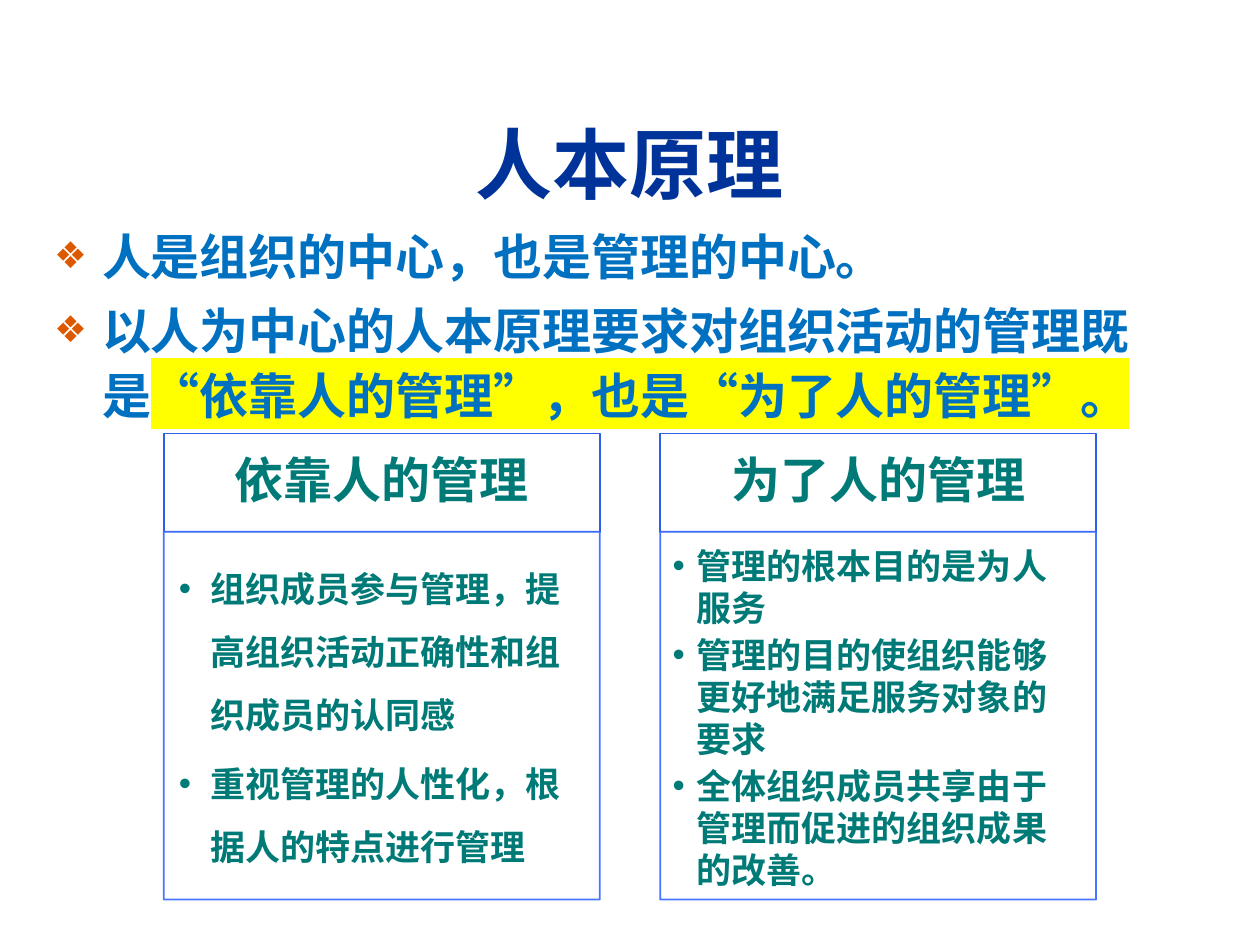
from lxml.etree import SubElement
from pptx import Presentation
from pptx.dml.color import RGBColor
from pptx.enum.lang import MSO_LANGUAGE_ID as Language
from pptx.enum.shapes import MSO_SHAPE as Shape
from pptx.enum.text import MSO_ANCHOR as Anchor, MSO_AUTO_SIZE as AutoSize, PP_ALIGN as Align
from pptx.oxml.ns import qn
from pptx.util import Inches, Pt

FONT = "Arial"
NAVY = RGBColor(0x00, 0x33, 0x99)
BLUE = RGBColor(0x00, 0x70, 0xC0)
ORANGE = RGBColor(0xDC, 0x59, 0x00)
TEAL = RGBColor(0x00, 0x7A, 0x77)
WHITE = RGBColor(0xFF, 0xFF, 0xFF)
YELLOW = RGBColor(0xFF, 0xFF, 0x00)
HEADER_LINE = RGBColor(0x2E, 0x5D, 0xE7)
PANEL_LINE = RGBColor(0x33, 0x66, 0xFF)

# Slide and column grid, in inches
WIDTH, HEIGHT = 10, 7.5
MARGIN = 0.33
COLUMN_WIDTH, COLUMN_GAP = 3.46, 0.48
COLUMN_LEFT = (WIDTH - 2 * COLUMN_WIDTH - COLUMN_GAP) / 2
HEADER_TOP, PANEL_TOP, PANEL_BOTTOM = 3.44, 4.22, 7.14

TITLE = "人本原理"
# Each point is a list of (text, highlight colour)
POINTS = [
    [("人是组织的中心，也是管理的中心。", None)],
    [("以人为中心的人本原理要求对组织活动的管理既是", None),
     ("“依靠人的管理”，也是“为了人的管理”。", YELLOW)],
]
# Heading, items, line spacing, indent, insets (left, top, right, bottom)
COLUMNS = [
    ("依靠人的管理",
     ["组织成员参与管理，提高组织活动正确性和组织成员的认同感",
      "重视管理的人性化，根据人的特点进行管理"],
     1.5, 0.25, (0.12, 0.12, 0.16, 0.17)),
    ("为了人的管理",
     ["管理的根本目的是为人服务",
      "管理的目的使组织能够更好地满足服务对象的要求",
      "全体组织成员共享由于管理而促进的组织成果的改善。"],
     1.0, 0.19, (0.1, 0.1, 0.14, 0.16)),
]


def place(shape, left, top, width, height):
    shape.left, shape.top = Inches(left), Inches(top)
    shape.width, shape.height = Inches(width), Inches(height)


def add_run(paragraph, text, size, color, highlight=None):
    run = paragraph.add_run()
    run.text = text
    font = run.font
    font.name, font.size, font.bold = FONT, Pt(size), True
    font.color.rgb = color
    font.language_id = Language.SIMPLIFIED_CHINESE
    if highlight is not None:
        properties = run._r.get_or_add_rPr()
        mark = SubElement(properties, qn("a:highlight"))
        SubElement(mark, qn("a:srgbClr"), val=str(highlight))
        properties.find(qn("a:latin")).addprevious(mark)


def set_spacing(paragraph, line, before=0, after=0):
    paragraph.line_spacing = line
    paragraph.space_before, paragraph.space_after = Pt(before), Pt(after)


def set_bullet(paragraph, character, indent, color, percent=100):
    properties = paragraph._p.get_or_add_pPr()
    properties.set("marL", str(Inches(indent)))
    properties.set("indent", str(-Inches(indent)))
    tint = SubElement(properties, qn("a:buClr"))
    SubElement(tint, qn("a:srgbClr"), val=str(color))
    SubElement(properties, qn("a:buSzPct"), val=str(percent * 1000))
    SubElement(properties, qn("a:buFont"), typeface=FONT)
    SubElement(properties, qn("a:buChar"), char=character)


def paragraphs(frame, count):
    """Yield the first paragraph of the frame, then new ones."""
    for index in range(count):
        yield frame.add_paragraph() if index else frame.paragraphs[0]


def add_title(slide):
    title = slide.shapes.title
    place(title, MARGIN, 0.67, WIDTH - 2 * MARGIN, 1.25)
    frame = title.text_frame
    frame.auto_size, frame.vertical_anchor = AutoSize.NONE, Anchor.MIDDLE
    paragraph = frame.paragraphs[0]
    paragraph.alignment = Align.CENTER
    add_run(paragraph, TITLE, 44, NAVY)


def add_points(slide):
    body = slide.placeholders[1]
    place(body, MARGIN, 1.7, WIDTH - 2 * MARGIN, 1.82)
    frame = body.text_frame
    frame.auto_size = AutoSize.NONE
    for paragraph, point in zip(paragraphs(frame, len(POINTS)), POINTS):
        set_spacing(paragraph, 1.1, before=5.6)
        set_bullet(paragraph, "❖", 0.38, ORANGE, 75)
        for text, highlight in point:
            add_run(paragraph, text, 28, BLUE, highlight)


def add_box(group, left, top, bottom, line_color, anchor, insets, opacity=100):
    box = group.shapes.add_shape(Shape.RECTANGLE, 0, 0, 0, 0)
    place(box, left, top, COLUMN_WIDTH, bottom - top)
    box.shadow.inherit = False
    box.fill.solid()
    box.fill.fore_color.rgb = WHITE
    box.line.color.rgb = line_color
    box.line.width = Pt(1)
    if opacity < 100:
        for color in box._element.spPr.iter(qn("a:srgbClr")):
            SubElement(color, qn("a:alpha"), val=str(opacity * 1000))
    frame = box.text_frame
    frame.word_wrap, frame.vertical_anchor = True, anchor
    (frame.margin_left, frame.margin_top,
     frame.margin_right, frame.margin_bottom) = map(Inches, insets)
    return frame


def add_column(slide, left, heading, items, line_spacing, indent, insets):
    group = slide.shapes.add_group_shape()
    # Heading box
    frame = add_box(group, left, HEADER_TOP, PANEL_TOP, HEADER_LINE,
                    Anchor.MIDDLE, (0.22, 0.12, 0.22, 0.12))
    paragraph = frame.paragraphs[0]
    paragraph.alignment = Align.CENTER
    set_spacing(paragraph, 0.9, after=9.8)
    add_run(paragraph, heading, 28, TEAL)
    # Bulleted panel
    frame = add_box(group, left, PANEL_TOP, PANEL_BOTTOM, PANEL_LINE,
                    Anchor.TOP, insets, opacity=90)
    for paragraph, item in zip(paragraphs(frame, len(items)), items):
        paragraph.level = 1
        paragraph.alignment = Align.LEFT
        set_spacing(paragraph, line_spacing, after=3)
        set_bullet(paragraph, "•", indent, TEAL)
        add_run(paragraph, item, 20, TEAL)


def main():
    presentation = Presentation()
    presentation.slide_width, presentation.slide_height = Inches(WIDTH), Inches(HEIGHT)
    slide = presentation.slides.add_slide(presentation.slide_layouts[1])
    add_title(slide)
    add_points(slide)
    for index, column in enumerate(COLUMNS):
        add_column(slide, COLUMN_LEFT + index * (COLUMN_WIDTH + COLUMN_GAP), *column)
    presentation.save("out.pptx")


if __name__ == "__main__":
    main()
